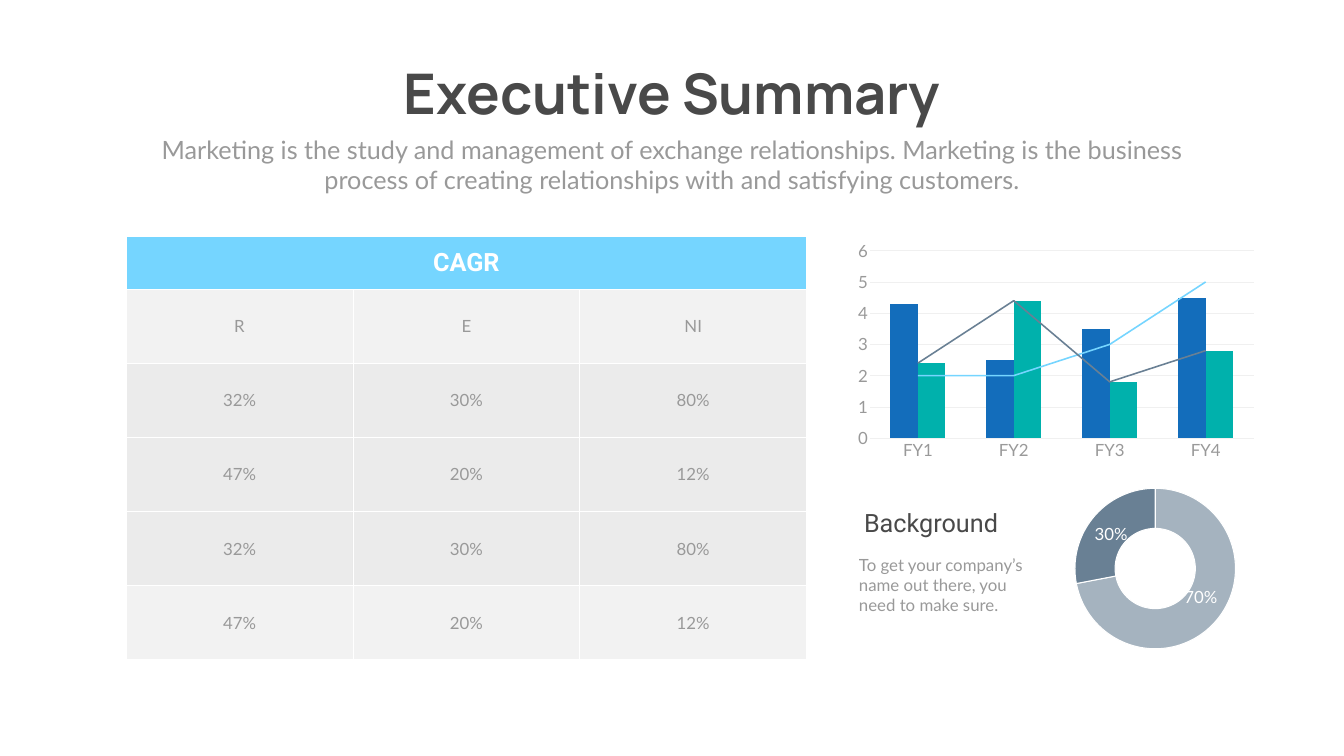
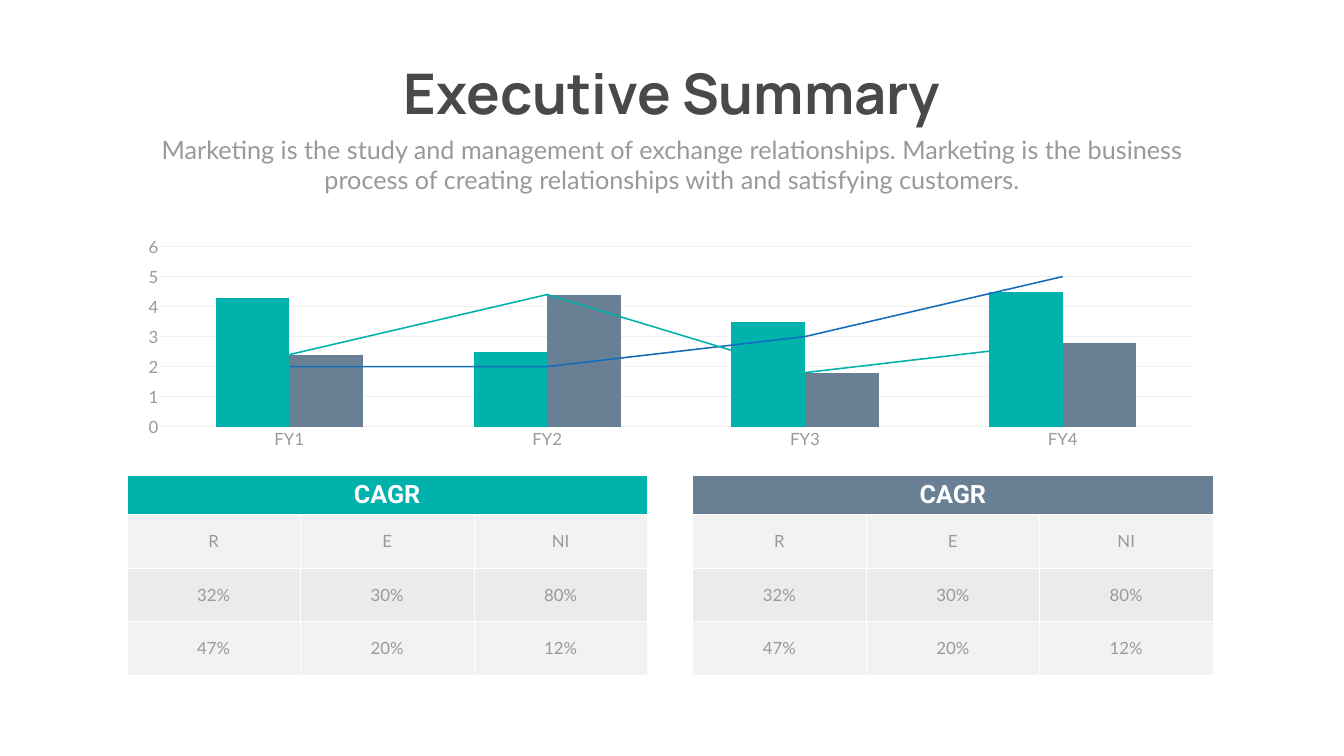
"""Builds two executive summary slides with tables, combined charts and a doughnut."""
from lxml import etree
from pptx import Presentation, util as u
from pptx.chart.data import CategoryChartData
from pptx.dml.color import RGBColor
from pptx.enum import chart as ch, text as t
from pptx.oxml import parse_xml
from pptx.oxml.ns import nsdecls, qn

W, H = 26.66, 15
COL, ROW = u.Inches(W / 100), u.Inches(H / 100)
DARK, GREY, WHITE, PALE, MID, GRID = "494949", "999999", "FFFFFF", "F2F2F2", "D9D9D9", "F0F0F0"
SKY, BLUE, TEAL, SLATE, MIST = "75D5FF", "136DBB", "00B1AC", "698094", "A5B3BF"
HEAD, BODY, BASE = "Roboto", "Lato", "Calibri"
CENTER, LEFT = t.PP_ALIGN.CENTER, t.PP_ALIGN.LEFT
rgb = RGBColor.from_string


def style(font, size, name, color, bold=False):
    font.size, font.name, font.bold = u.Pt(size), name, bold
    font.color.rgb = rgb(color)


def add_label(s, x, y, w, h, words, size, name, color, align=LEFT, wrap=True, bold=False):
    tf = s.shapes.add_textbox(int(x * COL), int(y * ROW), int(w * COL), int(h * ROW)).text_frame
    tf.word_wrap = wrap
    tf.auto_size = t.MSO_AUTO_SIZE.SHAPE_TO_FIT_TEXT
    tf.text = words
    p = tf.paragraphs[0]
    p.alignment = align
    style(p.runs[0].font, size, name, color, bold)


names = ["R", "E", "NI"]
low, high = ["32%", "30%", "80%"], ["47%", "20%", "12%"]
series = [[4.3, 2.5, 3.5, 4.5], [2.4, 4.4, 1.8, 2.8], [2, 2, 3, 5], [2.4, 4.4, 1.8, 2.8]]

pages = [
    {"tables": [(9.38, SKY)], "top": 31.2, "width": 50.64, "head": 7.07, "row": 9.8,
     "rows": [names, low, high, low, high],
     "chart": (63.24, 31.2, 30.65, 30.33), "colors": [BLUE, TEAL, SKY, SLATE]},
    {"tables": [(9.45, TEAL), (51.54, SLATE)], "top": 62.93, "width": 38.71, "head": 5.13, "row": 7.07,
     "rows": [names, low, high],
     "chart": (9.45, 30.67, 80.83, 29.33), "colors": [TEAL, SLATE, BLUE, TEAL]},
]

prs = Presentation()
prs.slide_width, prs.slide_height = u.Inches(W), u.Inches(H)

for page in pages:
    s = prs.slides.add_slide(prs.slide_layouts[6])
    add_label(s, 27.89, 7.47, 44.22, 9.67, "Executive Summary", 80, "Manrope", DARK, CENTER, False, True)
    add_label(s, 10.95, 17.4, 78.1, 8.73,
              "Marketing is the study and management of exchange relationships. Marketing is the "
              "business process of creating relationships with and satisfying customers.",
              36, BODY, GREY, CENTER)

    rows = [["CAGR", "", ""]] + page["rows"]
    for x, accent in page["tables"]:
        height = page["head"] + page["row"] * len(page["rows"])
        tbl = s.shapes.add_table(len(rows), 3, int(x * COL), int(page["top"] * ROW),
                                 int(page["width"] * COL), int(height * ROW)).table
        tbl.horz_banding = False
        tbl.cell(0, 0).merge(tbl.cell(0, 2))
        for i, values in enumerate(rows):
            tbl.rows[i].height = int((page["row"] if i else page["head"]) * ROW)
            middle = 1 < i < len(rows) - 1
            for cell, value in zip(tbl.rows[i].cells, values):
                cell.fill.solid()
                cell.fill.fore_color.rgb = rgb(accent if i == 0 else MID if middle else PALE)
                if middle:
                    color = next(cell.fill._xPr.iter(qn("a:srgbClr")))
                    etree.SubElement(color, qn("a:alpha"), val="50000")
                if not value:
                    continue
                cell.vertical_anchor = t.MSO_ANCHOR.MIDDLE
                cell.text = value
                p = cell.text_frame.paragraphs[0]
                p.alignment = CENTER
                if i:
                    style(p.runs[0].font, 24, BODY, GREY)
                else:
                    style(p.runs[0].font, 36, HEAD, WHITE, True)

    data = CategoryChartData()
    data.categories = ["FY1", "FY2", "FY3", "FY4"]
    for n, values in enumerate(series, 1):
        data.add_series(f"Series {n}", values)
    x, y, w, h = page["chart"]
    chart = s.shapes.add_chart(ch.XL_CHART_TYPE.COLUMN_CLUSTERED, int(x * COL), int(y * ROW),
                               int(w * COL), int(h * ROW), data).chart
    chart.has_legend = chart.has_title = False
    style(chart.font, 10, BASE, GREY)
    bars = chart.plots[0]
    bars.gap_width, bars.overlap, bars.vary_by_categories = 150, 0, False

    bar_xml = bars._element
    line_xml = parse_xml(f'<c:lineChart {nsdecls("c")}><c:grouping val="standard"/>'
                         '<c:varyColors val="0"/></c:lineChart>')
    for ser in bar_xml.findall(qn("c:ser"))[2:]:
        for flag in ser.findall(qn("c:invertIfNegative")):
            ser.remove(flag)
        line_xml.append(ser)
    etree.SubElement(line_xml, qn("c:marker"), val="1")
    for axis_id in bar_xml.findall(qn("c:axId")):
        etree.SubElement(line_xml, qn("c:axId"), val=axis_id.get("val"))
    bar_xml.addnext(line_xml)

    for ser, color in zip(bars.series, page["colors"][:2]):
        ser.format.fill.solid()
        ser.format.fill.fore_color.rgb = rgb(color)
    for ser, color in zip(chart.plots[1].series, page["colors"][2:]):
        ser.smooth = False
        ser.marker.style = ch.XL_MARKER_STYLE.NONE
        ser.format.line.width = u.Pt(2.25)
        ser.format.line.color.rgb = rgb(color)

    cat, val = chart.category_axis, chart.value_axis
    for axis in (cat, val):
        axis.major_tick_mark = axis.minor_tick_mark = ch.XL_TICK_MARK.NONE
        style(axis.tick_labels.font, 24, BODY, GREY)
    val.minimum_scale, val.maximum_scale, val.major_unit = 0, 6, 1
    val.format.line.fill.background()
    for line in (cat.format.line, val.major_gridlines.format.line):
        line.width = u.Pt(0.75)
        line.color.rgb = rgb(GRID)

s = prs.slides[0]
data = CategoryChartData()
data.categories = ["1", "2"]
data.add_series("Series 1", [72, 28])
chart = s.shapes.add_chart(ch.XL_CHART_TYPE.DOUGHNUT, int(76.22 * COL), int(63.67 * ROW),
                           int(19.47 * COL), int(23.07 * ROW), data).chart
chart.has_legend = chart.has_title = False
style(chart.font, 10, BASE, GREY)
ring = chart.plots[0]
ring.vary_by_categories = False
for hole in ring._element.findall(qn("c:holeSize")):
    hole.set("val", "40")
for i, color in enumerate([MIST, SLATE]):
    part = ring.series[0].points[i].format
    part.fill.solid()
    part.fill.fore_color.rgb = rgb(color)
    part.line.width = u.Pt(1.5)
    part.line.color.rgb = rgb(WHITE)

for x, y, share in [(81.06, 68.93, "30%"), (87.73, 77.33, "70%")]:
    add_label(s, x, y, 3.23, 3.33, share, 24, BODY, WHITE, CENTER, False)
add_label(s, 63.54, 73, 13.99, 8.73, "To get your company’s name out there, you need to make sure.",
          24, BODY, GREY)
add_label(s, 63.92, 66.73, 12.23, 4.73, "Background", 36, HEAD, DARK)

prs.save("out.pptx")
